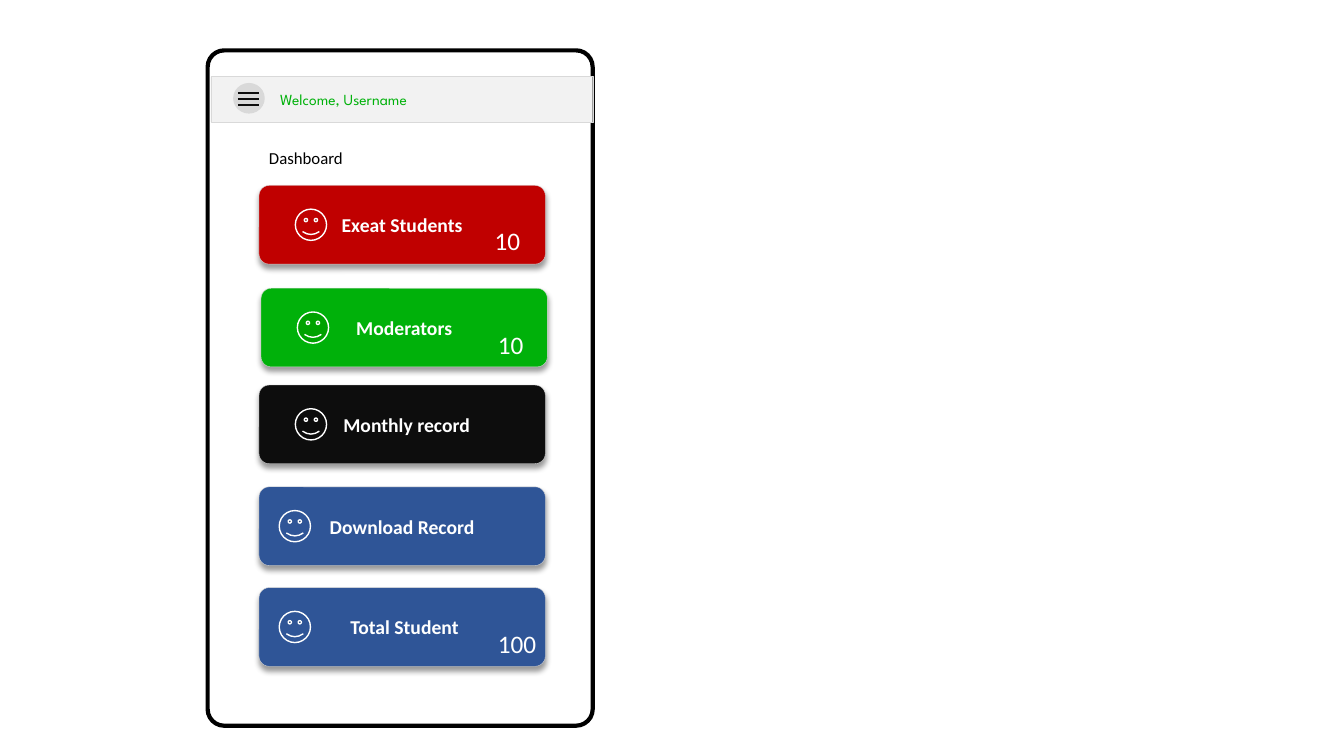
import dataclasses
import typing

import lxml.etree
import pptx
import pptx.dml.color
import pptx.enum.shapes
import pptx.enum.text
import pptx.oxml.ns
import pptx.util

Pt = pptx.util.Pt
SHAPES = pptx.enum.shapes.MSO_SHAPE
TEXT = pptx.enum.text


@dataclasses.dataclass(frozen=True)
class Theme:
    white: str = "FFFFFF"
    black: str = "000000"
    ink: str = "0D0D0D"
    bar: str = "F2F2F2"
    grey: str = "D9D9D9"
    red: str = "C00000"
    green: str = "00B10A"
    dark_green: str = "00A200"
    blue: str = "2F5597"
    body_font: str = "Calibri"
    welcome_font: str = "League Spartan"
    welcome_size: float = 11
    heading_size: float = 12
    card_size: float = 14
    count_size: float = 18


THEME = Theme()


class Box(typing.NamedTuple):
    left: float
    top: float
    width: float
    height: float

    def lengths(self) -> list[pptx.util.Length]:
        return [Pt(value) for value in self]


@dataclasses.dataclass(frozen=True)
class Card:
    label: str
    top: float
    fill: str
    face_fill: str
    left: float = 185.04
    face_inset: float = 25.92
    label_indent: float = 0


@dataclasses.dataclass(frozen=True)
class Count:
    value: str
    left: float
    top: float


CARD_WIDTH, CARD_HEIGHT = 204.48, 56.16
FACE_SIZE = 22.32
INSET = 7.2
COUNT_DIGIT_WIDTH = 9.36
MENU_LEFT, MENU_RIGHT = 169.92, 185.04
MENU_TOP, MENU_GAP = 66.24, 4.32

CARDS = [
    Card("Exeat Students", 132.48, THEME.red, THEME.red),
    Card("Moderators", 205.92, THEME.green, THEME.dark_green, left=186.48),
    Card("Monthly record", 275.04, THEME.ink, THEME.ink, label_indent=6.4),
    Card("Download Record", 347.76, THEME.blue, THEME.blue, face_inset=14.4),
    Card("Total Student", 419.76, THEME.blue, THEME.blue, face_inset=14.4, label_indent=3.2),
]
COUNTS = [
    Count("100", 348.48, 444.96),
    Count("10", 348.48, 231.84),
    Count("10", 346.32, 157.68),
]


def rgb(colour: str) -> pptx.dml.color.RGBColor:
    return pptx.dml.color.RGBColor.from_string(colour)


def apply_format(target: typing.Any, values: dict[str, typing.Any]) -> None:
    for name, value in values.items():
        setattr(target, name, value)


def add_effects(shape: typing.Any) -> lxml.etree._Element:
    """Append an empty effect list, which cancels the theme's shadow."""
    properties = shape._element.spPr
    return lxml.etree.SubElement(properties, pptx.oxml.ns.qn("a:effectLst"))


def add_drop_shadow(shape: typing.Any) -> None:
    qn = pptx.oxml.ns.qn
    shadow = lxml.etree.SubElement(
        add_effects(shape), qn("a:outerShdw"),
        blurRad=str(Pt(4)), dist=str(Pt(3)), dir="5400000", algn="t", rotWithShape="0",
    )
    colour = lxml.etree.SubElement(shadow, qn("a:srgbClr"), val=THEME.black)
    lxml.etree.SubElement(colour, qn("a:alpha"), val="40000")


def add_panel(page: typing.Any, kind: typing.Any, box: Box, fill: str, line: str,
              line_width: float, corner: float | None = None, shadow: bool = False) -> typing.Any:
    panel = page.shapes.add_shape(kind, *box.lengths())
    if corner is not None:
        panel.adjustments[0] = corner
    panel.fill.solid()
    panel.fill.fore_color.rgb = rgb(fill)
    panel.line.color.rgb = rgb(line)
    panel.line.width = Pt(line_width)
    if shadow:
        add_drop_shadow(panel)
    else:
        panel.shadow.inherit = False
    return panel


def write_text(shape: typing.Any, text: str, colour: str, size: float,
               font: str = THEME.body_font, bold: bool = False) -> None:
    span = shape.text_frame.paragraphs[0].add_run()
    span.text = text
    apply_format(span.font, {"name": font, "size": Pt(size), "bold": bold})
    span.font.color.rgb = rgb(colour)


def add_label(page: typing.Any, box: Box, text: str, colour: str, size: float,
              font: str = THEME.body_font, wrap: bool = True) -> None:
    label = page.shapes.add_textbox(*box.lengths())
    apply_format(label.text_frame, {
        "word_wrap": wrap,
        "auto_size": TEXT.MSO_AUTO_SIZE.SHAPE_TO_FIT_TEXT,
    })
    write_text(label, text, colour, size, font)


def add_menu_icon(page: typing.Any) -> None:
    add_panel(page, SHAPES.OVAL, Box(167.04, 59.76, 21.6, 20.88), THEME.grey, THEME.grey, 1)
    for row in range(3):
        height = Pt(MENU_TOP + row * MENU_GAP)
        stroke = page.shapes.add_connector(
            pptx.enum.shapes.MSO_CONNECTOR.STRAIGHT,
            Pt(MENU_LEFT), height, Pt(MENU_RIGHT), height,
        )
        stroke.line.color.rgb = rgb(THEME.ink)
        stroke.line.width = Pt(1.5)
        add_effects(stroke)


def add_card(page: typing.Any, card: Card) -> None:
    panel = add_panel(page, SHAPES.ROUNDED_RECTANGLE,
                      Box(card.left, card.top, CARD_WIDTH, CARD_HEIGHT),
                      card.fill, THEME.grey, 0.25, corner=0.129, shadow=True)
    apply_format(panel.text_frame, {
        "word_wrap": True,
        "vertical_anchor": TEXT.MSO_ANCHOR.MIDDLE,
        "margin_left": Pt(INSET + card.label_indent),
    })
    panel.text_frame.paragraphs[0].alignment = TEXT.PP_ALIGN.CENTER
    write_text(panel, card.label, THEME.white, THEME.card_size, bold=True)
    face_top = card.top + (CARD_HEIGHT - FACE_SIZE) / 2
    add_panel(page, SHAPES.SMILEY_FACE,
              Box(card.left + card.face_inset, face_top, FACE_SIZE, FACE_SIZE),
              card.face_fill, THEME.white, 1)


def add_count(page: typing.Any, count: Count) -> None:
    width = 2 * INSET + COUNT_DIGIT_WIDTH * len(count.value)
    add_label(page, Box(count.left, count.top, width, 28.8), count.value,
              THEME.white, THEME.count_size, wrap=False)


def main() -> None:
    deck = pptx.Presentation()
    apply_format(deck, {"slide_width": Pt(960), "slide_height": Pt(540)})
    page = deck.slides.add_slide(deck.slide_layouts[6])

    add_panel(page, SHAPES.ROUNDED_RECTANGLE, Box(148.32, 36, 275.04, 482.4),
              THEME.white, THEME.black, 3, corner=0.043)
    add_panel(page, SHAPES.RECTANGLE, Box(150.48, 54.72, 272.88, 32.4),
              THEME.bar, THEME.grey, 0.25)
    add_menu_icon(page)
    add_label(page, Box(192.96, 60.48, 155.52, 20.88), "Welcome, Username",
              THEME.green, THEME.welcome_size, THEME.welcome_font)
    add_label(page, Box(185.04, 102.24, 91.44, 21.6), "Dashboard",
              THEME.black, THEME.heading_size)
    for card in CARDS:
        add_card(page, card)
    for count in COUNTS:
        add_count(page, count)

    deck.save("out.pptx")


if __name__ == "__main__":
    main()
